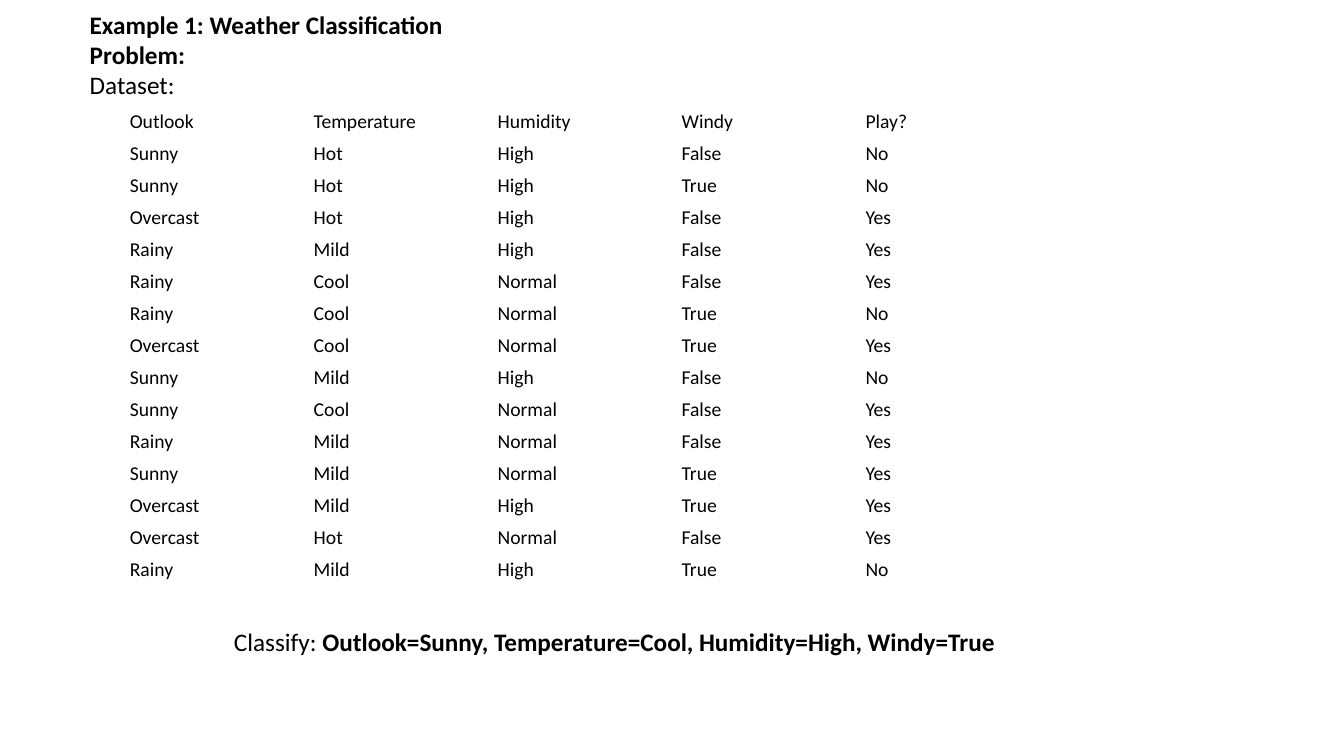
from pptx import Presentation
from pptx.dml.color import RGBColor
from pptx.enum.text import MSO_ANCHOR, MSO_AUTO_SIZE
from pptx.util import Pt

COLORS = {"text": "000000"}
FONT = "Calibri"
BODY_SIZE = 18
TABLE_SIZE = 14
COLUMN_WIDTH = 131.4
ROW_HEIGHT = 22.85

WEATHER = [
    ("Outlook", "Temperature", "Humidity", "Windy", "Play?"),
    ("Sunny", "Hot", "High", "False", "No"),
    ("Sunny", "Hot", "High", "True", "No"),
    ("Overcast", "Hot", "High", "False", "Yes"),
    ("Rainy", "Mild", "High", "False", "Yes"),
    ("Rainy", "Cool", "Normal", "False", "Yes"),
    ("Rainy", "Cool", "Normal", "True", "No"),
    ("Overcast", "Cool", "Normal", "True", "Yes"),
    ("Sunny", "Mild", "High", "False", "No"),
    ("Sunny", "Cool", "Normal", "False", "Yes"),
    ("Rainy", "Mild", "Normal", "False", "Yes"),
    ("Sunny", "Mild", "Normal", "True", "Yes"),
    ("Overcast", "Mild", "High", "True", "Yes"),
    ("Overcast", "Hot", "Normal", "False", "Yes"),
    ("Rainy", "Mild", "High", "True", "No"),
]


def style_paragraph(paragraph, size):
    paragraph.font.name = FONT
    paragraph.font.size = Pt(size)
    paragraph.font.color.rgb = RGBColor.from_string(COLORS["text"])


def add_text(slide, left, top, width, height, paragraphs):
    """Each paragraph is a list of (text, bold) runs; None is a line break."""
    shape = slide.shapes.add_textbox(Pt(left), Pt(top), Pt(width), Pt(height))
    frame = shape.text_frame
    frame.word_wrap = True
    frame.auto_size = MSO_AUTO_SIZE.SHAPE_TO_FIT_TEXT
    for index, runs in enumerate(paragraphs):
        paragraph = frame.add_paragraph() if index else frame.paragraphs[0]
        style_paragraph(paragraph, BODY_SIZE)
        for item in runs:
            if item is None:
                paragraph.add_line_break()
                continue
            run = paragraph.add_run()
            run.text, run.font.bold = item


def fill_cell(cell, text):
    cell.fill.background()
    cell.vertical_anchor = MSO_ANCHOR.MIDDLE
    cell.margin_left = cell.margin_right = Pt(5.7)
    cell.margin_top = cell.margin_bottom = Pt(2.85)
    cell.text = text
    style_paragraph(cell.text_frame.paragraphs[0], TABLE_SIZE)


def add_data_table(slide, left, top, rows):
    row_count, column_count = len(rows), len(rows[0])
    table = slide.shapes.add_table(
        row_count, column_count, Pt(left), Pt(top),
        Pt(COLUMN_WIDTH * column_count), Pt(ROW_HEIGHT * row_count)).table
    table.first_row = False
    table.horz_banding = False
    for column in table.columns:
        column.width = Pt(COLUMN_WIDTH)
    for row, values in zip(table.rows, rows):
        row.height = Pt(ROW_HEIGHT)
        for cell, value in zip(row.cells, values):
            fill_cell(cell, value)


def main():
    presentation = Presentation()
    presentation.slide_width = Pt(960)
    presentation.slide_height = Pt(540)
    slide = presentation.slides.add_slide(presentation.slide_layouts[6])

    # Weather observations
    add_data_table(slide, 87, 75.6, WEATHER)

    # Heading
    add_text(slide, 57, 3, 480, 72.7, [
        [("Example 1: Weather Classification", True)],
        [("Problem:", True), None, ("Dataset:", False)],
    ])

    # Case to classify
    add_text(slide, 160, 443.7, 655, 29, [
        [("Classify: ", False),
         ("Outlook=Sunny, Temperature=Cool, Humidity=High, Windy=True", True)],
    ])

    presentation.save("out.pptx")


if __name__ == "__main__":
    main()
